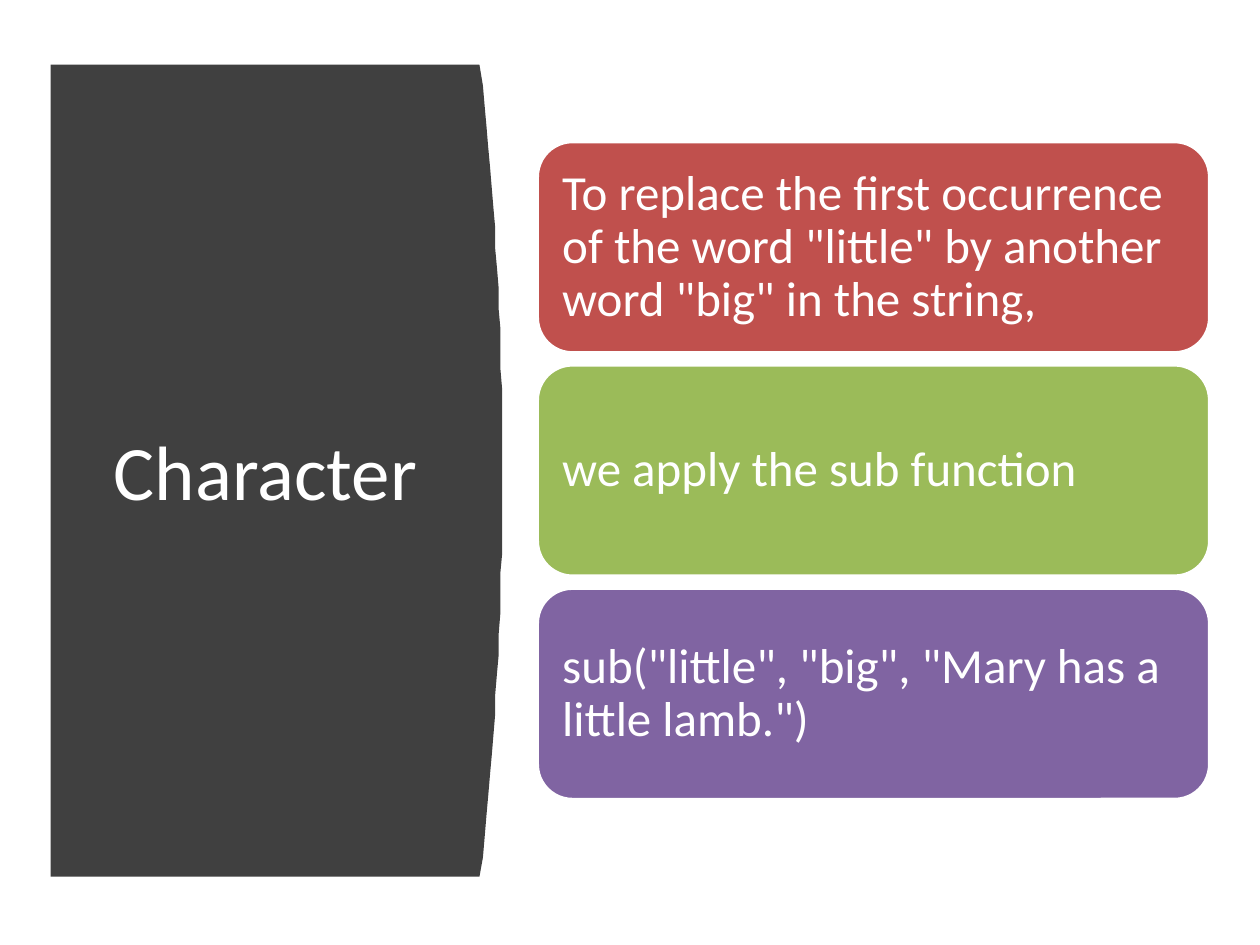
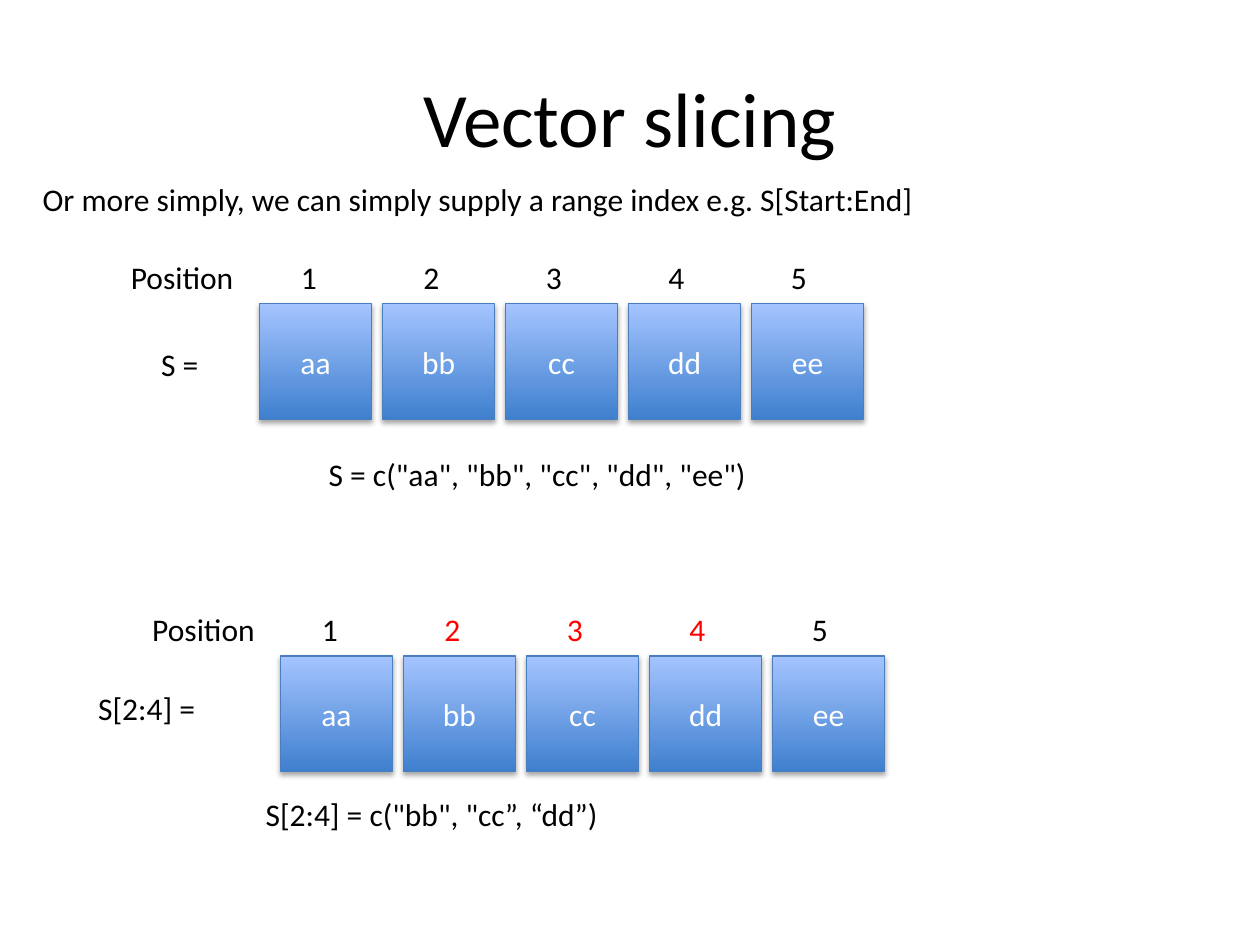
from lxml import etree
from pptx import Presentation
from pptx.dml.color import RGBColor
from pptx.enum import shapes, text
from pptx.oxml import parse_xml
from pptx.oxml.ns import nsdecls, qn
from pptx.util import Pt

COLOURS = {
    "panel": "404040", "white": "FFFFFF", "black": "000000",
    "red": "C0504D", "green": "9BBB59", "purple": "8064A2",
    "cell_bottom": "3F80CE", "cell_top": "A4C4FF", "cell_line": "4B7EBC",
    "selected": "FF0000",
}
FONT = "Calibri"
TITLE_SIZE, BODY_SIZE, CELL_SIZE = 44, 28, 18
CENTRE = text.PP_ALIGN.CENTER
LEFT = text.PP_ALIGN.LEFT


def rgb(name):
    return RGBColor.from_string(COLOURS[name])


def write(box, words, size, colour="black", align=LEFT, middle=False, wrap=True):
    frame = box.text_frame
    frame.text = words
    frame.word_wrap = wrap
    frame.vertical_anchor = text.MSO_ANCHOR.MIDDLE if middle else text.MSO_ANCHOR.TOP
    para = frame.paragraphs[0]
    para.alignment = align
    for span in para.runs:
        span.font.name = FONT
        span.font.size = Pt(size)
        span.font.color.rgb = rgb(colour)
    return para


deck = Presentation()
deck.slide_width, deck.slide_height = Pt(720), Pt(540)
blank = deck.slide_layouts[6]

# Slide 1: dark panel with a bulging right edge
page = deck.slides.add_slide(blank)
left, top, edge, bottom, bulge, steps = 28.8, 37.4, 274.3, 501.1, 13, 40
curve = []
for step in range(steps + 1):
    t = step / steps
    curve.append((edge + bulge * 4 * t * (1 - t), top + (bottom - top) * t))
builder = page.shapes.build_freeform(left, top, scale=float(Pt(1)))
builder.add_line_segments(curve + [(left, bottom)], close=True)
panel = builder.convert_to_shape()
panel.shadow.inherit = False
panel.fill.solid()
panel.fill.fore_color.rgb = rgb("panel")
panel.line.fill.background()

title = page.shapes.add_textbox(Pt(51), Pt(80), Pt(201.6), Pt(377.3))
write(title, "Character", TITLE_SIZE, "white", CENTRE, middle=True)

# Three stacked cards
cards = [
    ("red", 'To replace the first occurrence of the word "little" by another '
            'word "big" in the string,'),
    ("green", "we apply the sub function"),
    ("purple", 'sub("little", "big", "Mary has a little lamb.")'),
]
for row, (colour, words) in enumerate(cards):
    card = page.shapes.add_shape(shapes.MSO_SHAPE.ROUNDED_RECTANGLE,
                                 Pt(307), Pt(80.9 + 127.6 * row), Pt(384.3), Pt(120.8))
    card.shadow.inherit = False
    card.fill.solid()
    card.fill.fore_color.rgb = rgb(colour)
    card.line.color.rgb = rgb("white")
    card.line.width = Pt(2)
    para = write(card, words, BODY_SIZE, "white", middle=True)
    para.line_spacing = 0.9
    frame = card.text_frame
    frame.margin_left = frame.margin_right = Pt(8.4)
    frame.margin_top = frame.margin_bottom = Pt(8.4)

# Slide 2: title and introduction
page = deck.slides.add_slide(blank)
title = page.shapes.add_textbox(Pt(36), Pt(21.6), Pt(648), Pt(90))
write(title, "Vector slicing", TITLE_SIZE, align=CENTRE, middle=True)
intro = page.shapes.add_textbox(Pt(17.3), Pt(99.5), Pt(666.7), Pt(29))
write(intro, "Or more simply, we can simply supply a range index e.g. S[Start:End]",
      CELL_SIZE)

# The vector, drawn whole and then with positions 2 to 4 selected
values = ["aa", "bb", "cc", "dd", "ee"]
vectors = [(148.3, 173.6, []), (160.3, 374.8, [2, 3, 4])]
for left, top, selected in vectors:
    for index, value in enumerate(values):
        cell = page.shapes.add_shape(shapes.MSO_SHAPE.RECTANGLE,
                                     Pt(left + 70.3 * index), Pt(top), Pt(64), Pt(66.2))
        cell.fill.gradient()
        cell.fill.gradient_angle = 90
        for stop, colour in zip(cell.fill.gradient_stops, ("cell_bottom", "cell_top")):
            stop.color.rgb = rgb(colour)
        cell.line.color.rgb = rgb("cell_line")
        cell.line.width = Pt(0.75)
        cell.shadow.inherit = False
        effects = cell._element.spPr.find(qn("a:effectLst"))
        effects.append(parse_xml(
            f'<a:outerShdw {nsdecls("a")} blurRad="{Pt(3.1)}" dist="{Pt(1.8)}" '
            f'dir="5400000" rotWithShape="0"><a:srgbClr val="{COLOURS["black"]}">'
            '<a:alpha val="35000"/></a:srgbClr></a:outerShdw>'))
        write(cell, value, CELL_SIZE, "white", CENTRE, middle=True)

    # Position numbers sit on evenly spaced tab stops
    numbers = page.shapes.add_textbox(Pt(left), Pt(top - 30), Pt(345), Pt(29))
    numbers.text_frame.word_wrap = True
    para = numbers.text_frame.paragraphs[0]
    tabs = etree.SubElement(para._p.get_or_add_pPr(), qn("a:tabLst"))
    for index in range(len(values)):
        etree.SubElement(tabs, qn("a:tab"), pos=str(Pt(16.5 + 70 * index)), algn="l")
    for position in range(1, len(values) + 1):
        span = para.add_run()
        span.text = f"\t{position}"
        span.font.name = FONT
        span.font.size = Pt(CELL_SIZE)
        span.font.color.rgb = rgb("selected" if position in selected else "black")

# Labels and code beside the vectors
labels = [
    (67.7, 144, 73.4, "Position"),
    (85, 193.7, 40.3, "S ="),
    (180.7, 256.5, 260.6, 'S = c("aa", "bb", "cc", "dd", "ee")'),
    (79.9, 345, 73.4, "Position"),
    (49, 390.3, 70.6, "S[2:4] ="),
    (144.7, 451, 211, 'S[2:4] = c("bb", "cc”, “dd”)'),
]
for left, top, width, words in labels:
    label = page.shapes.add_textbox(Pt(left), Pt(top), Pt(width), Pt(29))
    write(label, words, CELL_SIZE, wrap=False)

deck.save("out.pptx")
